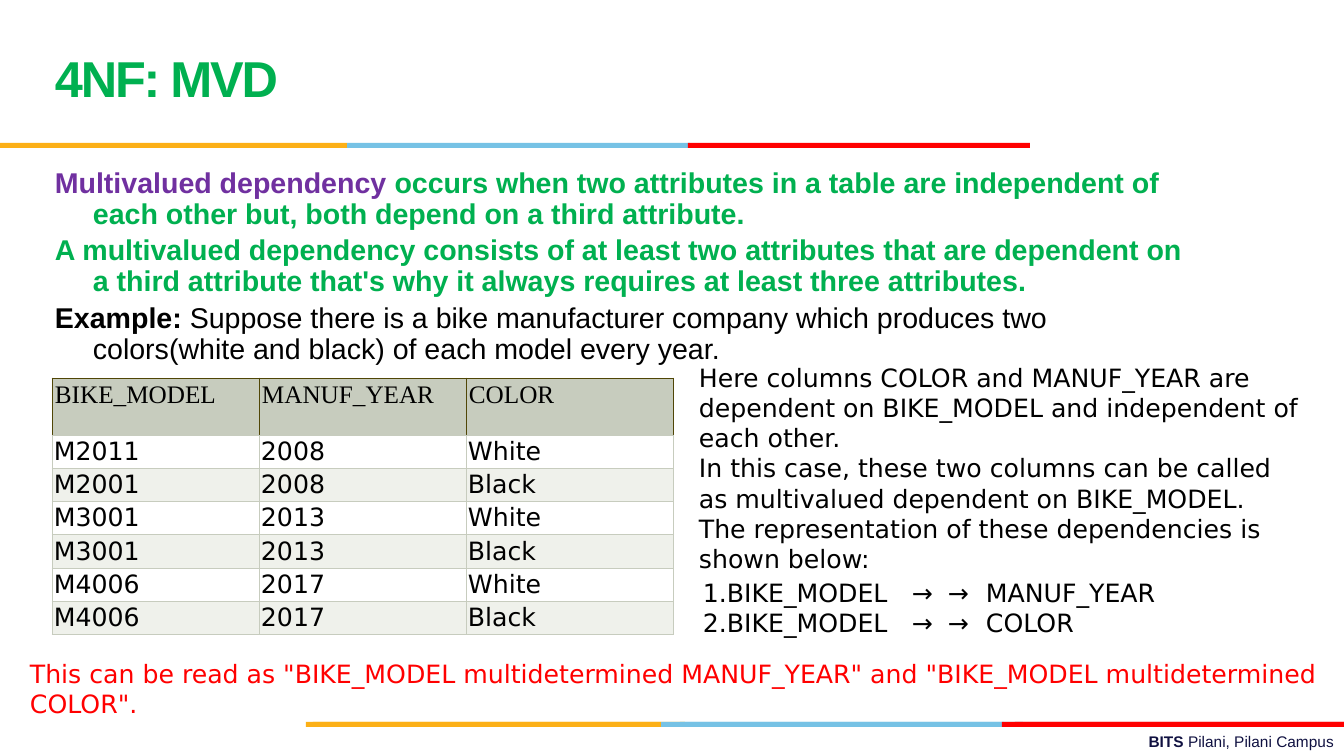
from lxml.etree import SubElement as Sub
from pptx import Presentation
from pptx.dml.color import RGBColor as RGB
from pptx.enum.shapes import MSO_SHAPE as Shape
from pptx.enum.text import PP_ALIGN as Align
from pptx.oxml.ns import qn
from pptx.util import Pt

PX = 914400 / 100.8
SANS = "DejaVu Sans"
GREEN, PURPLE, RED, BLACK, NAVY = "00B050", "7030A0", "FF0000", "000000", "101141"
GOLD, SKY, CRIMSON = "FCB017", "76C2E5", "E31C24"
SAGE, PALE, WHITE, OLIVE = "C7CCBE", "EFF1EB", "FFFFFF", "504606"

# top, then (left, width, colour) of each bar
BARS = [
    (722, [(680, 343, SKY), (1015, 329, CRIMSON), (306, 379, GOLD)]),
    (722, [(661, 343, SKY), (313, 348, GOLD), (1002, 342, RED)]),
    (143, [(347, 343, SKY), (0, 347, GOLD), (688, 342, RED)]),
]
TITLE = [[("4NF: MVD", {})]]
FOOT = [[("BITS ", {"bold": True}), ("Pilani, Pilani Campus", {})]]
BODY = [
    [("Multivalued dependency ", {"color": PURPLE}),
     ("occurs when two attributes in a table are independent of each other but, "
      "both depend on a third attribute.", {})],
    [("A multivalued dependency consists of at least two attributes that are dependent "
      "on a third attribute that's why it always requires at least three attributes.", {})],
    [("Example:", {"color": BLACK}),
     (" Suppose there is a bike manufacturer company which produces two "
      "colors(white and black) of each model every year.", {"color": BLACK, "bold": False})],
]
BIKES = [
    ("BIKE_MODEL", "MANUF_YEAR", "COLOR"),
    ("M2011", "2008", "White"),
    ("M2001", "2008", "Black"),
    ("M3001", "2013", "White"),
    ("M3001", "2013", "Black"),
    ("M4006", "2017", "White"),
    ("M4006", "2017", "Black"),
]
NOTES = [
    [("Here columns COLOR and MANUF_YEAR are dependent on BIKE_MODEL and independent "
      "of each other.", {})],
    [("In this case, these two columns can be called as multivalued dependent on "
      "BIKE_MODEL. The representation of these dependencies is shown below:", {})],
]
RULES = [[(f"BIKE_MODEL\t→\t→\t{name}", {})] for name in ("MANUF_YEAR", "COLOR")]
READ = [[('This can be read as "BIKE_MODEL multidetermined MANUF_YEAR" and '
          '"BIKE_MODEL multidetermined COLOR".', {})]]


def px(n):
    return round(n * PX)


def paint(fill, color):
    fill.solid()
    fill.fore_color.rgb = RGB.from_string(color)


def write(frame, paras, size=18, font=SANS, color=BLACK, bold=False, align=Align.LEFT,
          lead=None, gap=0, hang=0, track=0, tabs=(), number=False):
    """Fill a text frame with paragraphs, each a list of (text, overrides) runs."""
    for i, runs in enumerate(paras):
        para = frame.paragraphs[0] if i == 0 else frame.add_paragraph()
        para.alignment = align
        if lead:
            para.line_spacing = lead
        if gap and i:
            para.space_before = Pt(gap)
        props = para._p.get_or_add_pPr()
        if hang:
            props.set("marL", str(px(hang)))
            props.set("indent", str(px(-hang)))
        if number:
            Sub(props, qn("a:buFont"), typeface="+mj-lt")
            Sub(props, qn("a:buAutoNum"), type="arabicPeriod")
        if tabs:
            stops = Sub(props, qn("a:tabLst"))
            for stop in tabs:
                Sub(stops, qn("a:tab"), pos=str(px(stop)), algn="l")
        for text, own in runs:
            run = para.add_run()
            run.text = text
            run.font.size = Pt(size)
            run.font.name = font
            run.font.bold = own.get("bold", bold)
            paint(run.font.fill, own.get("color", color))
            if track:
                run._r.get_or_add_rPr().set("spc", str(track))


def put(slide, box, paras, wrap=True, **fmt):
    frame = slide.shapes.add_textbox(*map(px, box)).text_frame
    frame.word_wrap = wrap
    write(frame, paras, **fmt)


def edge(cell, side, color):
    line = Sub(cell._tc.get_or_add_tcPr(), qn(f"a:ln{side}"), w=str(Pt(0.5)))
    Sub(Sub(line, qn("a:solidFill")), qn("a:srgbClr"), val=color)


def grid(slide, left, top, wide, head, high):
    rows, cols = len(BIKES), len(BIKES[0])
    table = slide.shapes.add_table(rows, cols, px(left), px(top), px(wide * cols),
                                   px(head + high * (rows - 1))).table
    table.first_row = table.horz_banding = False
    for col in table.columns:
        col.width = px(wide)
    for r, row in enumerate(BIKES):
        table.rows[r].height = px(high if r else head)
        for c, text in enumerate(row):
            cell = table.cell(r, c)
            pad = 2 if r else 3
            cell.margin_left = cell.margin_right = cell.margin_top = px(pad)
            cell.margin_bottom = px(pad - 1)
            for side in "LRTB":
                edge(cell, side, SAGE if r or side == "B" else OLIVE)
            paint(cell.fill, SAGE if r == 0 else WHITE if r % 2 else PALE)
            write(cell.text_frame, [[(text, {})]], font=SANS if r else "Times New Roman")


def main():
    deck = Presentation()
    deck.slide_width, deck.slide_height = px(1344), px(756)
    slide = deck.slides.add_slide(deck.slide_layouts[6])
    put(slide, (481, 727, 863, 29), FOOT, size=11, font="Arial", color=NAVY,
        align=Align.RIGHT)
    for top, bars in BARS:
        for left, wide, color in bars:
            bar = slide.shapes.add_shape(Shape.RECTANGLE, *map(px, (left, top, wide, 5)))
            bar.shadow.inherit = False
            bar.line.fill.background()
            paint(bar.fill, color)
    put(slide, (45, 164, 1165, 214), BODY, size=20.4, font="Arial", color=GREEN,
        bold=True, lead=0.9, gap=4, hang=38)
    grid(slide, 52, 378, 207, 57, 30)
    put(slide, (689, 357, 620, 224), NOTES)
    put(slide, (693, 572, 672, 72), RULES, number=True, tabs=(209, 245, 283))
    put(slide, (20, 653, 1346, 72), READ, color=RED)
    put(slide, (45, 52, 244, 61), TITLE, wrap=False, size=36, font="Arial", color=GREEN,
        bold=True, lead=Pt(36), track=-150)
    deck.save("out.pptx")


if __name__ == "__main__":
    main()
